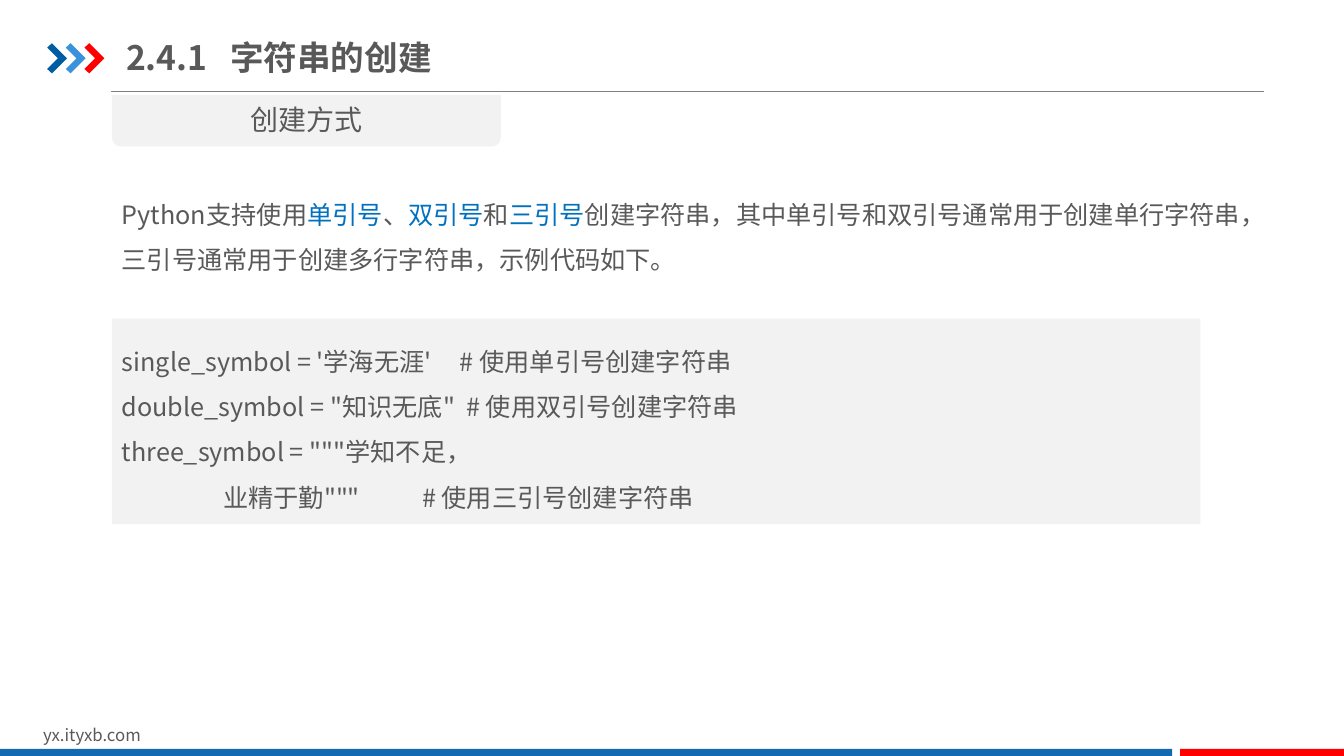
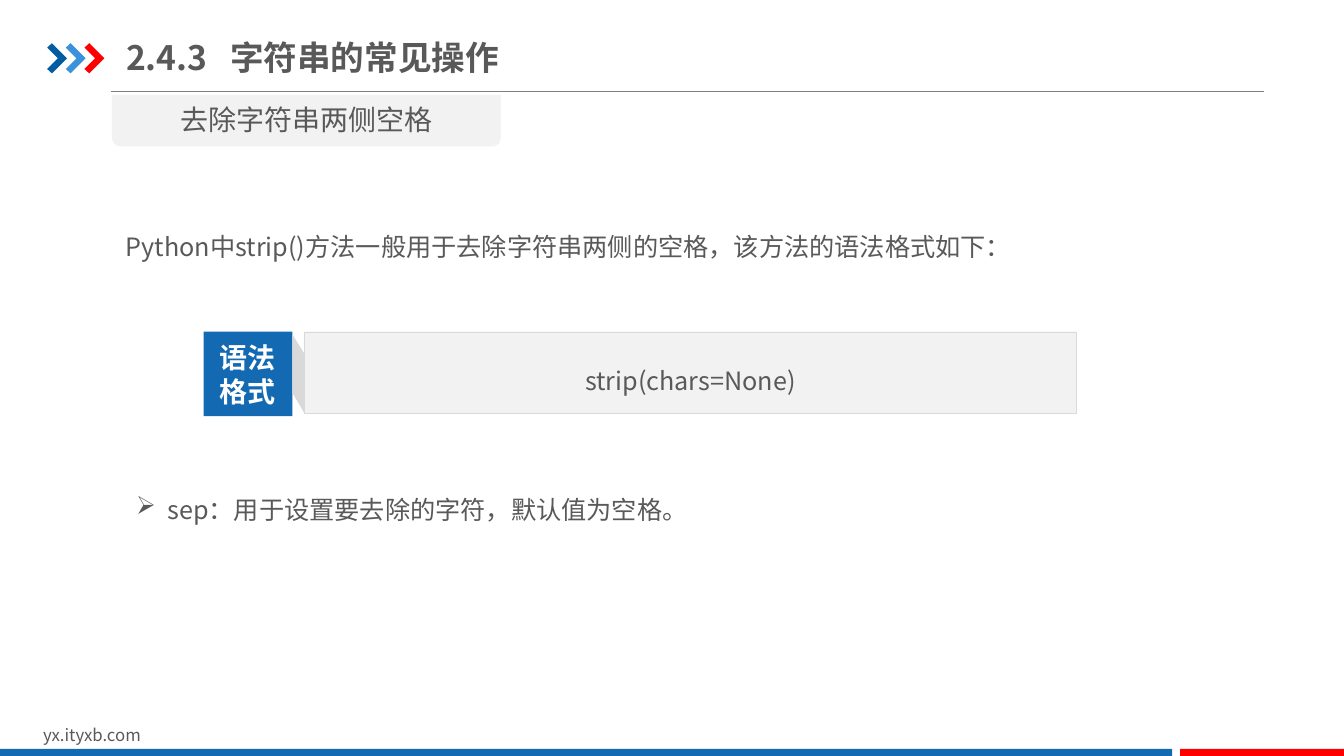
from dataclasses import dataclass

from lxml.etree import SubElement
from pptx import Presentation
from pptx.dml.color import RGBColor
from pptx.enum.shapes import MSO_CONNECTOR as Connector, MSO_SHAPE as Shape
from pptx.enum.text import MSO_ANCHOR as Anchor, PP_ALIGN as Align
from pptx.oxml.ns import qn
from pptx.util import Cm, Pt


@dataclass(frozen=True)
class Theme:
    font: str = "Noto Sans CJK SC"
    text: str = "595959"
    keyword: str = "0070C0"
    white: str = "FFFFFF"
    panel: str = "F2F2F2"
    edge: str = "D9D9D9"
    rule: str = "808080"
    blue: str = "1369B2"
    red: str = "FF0000"
    chevrons: tuple = ("005DA2", "3992DB", "FF0000")
    title_size: int = 24
    label_size: int = 20
    body_size: int = 18
    footer_size: int = 12


THEME = Theme()

# Content
FOOTER = "yx.ityxb.com"
CREATION = {
    "number": "2.4.1",
    "title": "字符串的创建",
    "topic": "创建方式",
    # Runs marked True are keywords
    "intro": [
        ("Python支持使用", False), ("单引号", True), ("、", False),
        ("双引号", True), ("和", False), ("三引号", True),
        ("创建字符串，其中单引号和双引号通常用于创建单行字符串，"
         "三引号通常用于创建多行字符串，示例代码如下。", False),
    ],
    "code": [
        "single_symbol = '学海无涯'     # 使用单引号创建字符串",
        'double_symbol = "知识无底"  # 使用双引号创建字符串',
        'three_symbol = """学知不足，',
        '                  业精于勤"""           # 使用三引号创建字符串',
    ],
}
STRIPPING = {
    "number": "2.4.3",
    "title": "字符串的常见操作",
    "topic": "去除字符串两侧空格",
    "intro": [("Python中strip()方法一般用于去除字符串两侧的空格，"
               "该方法的语法格式如下：", False)],
    "badge": ["语法", "格式"],
    "syntax": ["strip(chars=None)"],
    "parameter": ["sep：用于设置要去除的字符，默认值为空格。"],
}

# Paragraph formats
BODY = {"alignment": Align.JUSTIFY, "line_spacing": 1.5}
CODE = {"alignment": Align.LEFT, "line_spacing": 1.5}
SYNTAX = {"alignment": Align.CENTER, "line_spacing": 1.5}
CENTERED = {"alignment": Align.CENTER}

# Outlines in cm
CHEVRON = [(0, 0.11), (0.12, 0), (0.5, 0.38), (0.12, 0.76), (0, 0.65), (0.27, 0.38)]
FOLD = [(0.3, 0.48), (0.3, 1.98), (0, 1.47), (0, 0)]


def rgb(color):
    return RGBColor.from_string(color)


def box_cm(*lengths):
    return [Cm(length) for length in lengths]


def paint(shape, fill, line=None):
    shape.shadow.inherit = False
    shape.fill.solid()
    shape.fill.fore_color.rgb = rgb(fill)
    if line:
        shape.line.color.rgb = rgb(line)
        shape.line.width = Pt(0.25)
    else:
        shape.line.fill.background()
    return shape


def add_panel(slide, box, fill, line=None, kind=Shape.RECTANGLE):
    return paint(slide.shapes.add_shape(kind, *box_cm(*box)), fill, line)


def add_outline(slide, left, top, points, fill):
    corners = [(Cm(left + x), Cm(top + y)) for x, y in points]
    builder = slide.shapes.build_freeform(*corners[0], scale=1.0)
    builder.add_line_segments(corners[1:], close=True)
    return paint(builder.convert_to_shape(), fill)


def add_run(paragraph, text, size, color=THEME.text, bold=False):
    run = paragraph.add_run()
    run.text = text
    run.font.color.rgb = rgb(color)
    for name, value in {"name": THEME.font, "size": Pt(size), "bold": bold}.items():
        setattr(run.font, name, value)
    SubElement(run.font._element, qn("a:ea"), typeface=THEME.font)


def write(shape, lines, size, layout, anchor=Anchor.TOP, **look):
    """Each line is a string or a list of (text, is_keyword) runs."""
    frame = shape.text_frame
    frame.word_wrap = True
    frame.vertical_anchor = anchor
    for index, line in enumerate(lines):
        paragraph = frame.add_paragraph() if index else frame.paragraphs[0]
        for name, value in layout.items():
            setattr(paragraph, name, value)
        if isinstance(line, str):
            add_run(paragraph, line, size, **look)
        else:
            for text, is_keyword in line:
                add_run(paragraph, text, size, THEME.keyword if is_keyword else THEME.text)
    return frame


def add_text(slide, box, lines, size, layout, **look):
    return write(slide.shapes.add_textbox(*box_cm(*box)), lines, size, layout, **look)


# Shared parts
def add_frame(slide, content):
    rule = slide.shapes.add_connector(Connector.STRAIGHT, *box_cm(2.79, 2.31, 31.85, 2.31))
    rule.line.color.rgb = rgb(THEME.rule)
    rule.line.width = Pt(0.75)
    SubElement(rule._element.spPr, qn("a:effectLst"))

    for index, color in enumerate(THEME.chevrons):
        add_outline(slide, 1.19 + 0.47 * index, 1.09, CHEVRON, color)

    add_text(slide, (0.84, 18.14, 8.08, 0.76), [FOOTER], THEME.footer_size, {})
    for left, width, color in ((0, 29.54, THEME.blue), (29.74, 4.13, THEME.red)):
        add_panel(slide, (left, 18.87, width, 0.2), color)

    # Section number and title, parted by a tab stop
    heading = slide.shapes.add_textbox(*box_cm(3.18, 0.74, 13.56, 1.4))
    frame = heading.text_frame
    for name, value in {"margin_left": 0, "margin_right": 0,
                        "margin_top": Cm(0.18), "margin_bottom": Cm(0.18)}.items():
        setattr(frame, name, value)
    stops = SubElement(frame.paragraphs[0]._p.get_or_add_pPr(), qn("a:tabLst"))
    SubElement(stops, qn("a:tab"), pos=str(Cm(2.62)), algn="l")
    write(heading, [f"{content['number']}\t{content['title']}"], THEME.title_size, {},
          anchor=Anchor.MIDDLE, bold=True)

    # Topic label
    flap = add_panel(slide, (2.82, 2.39, 9.8, 1.3), THEME.panel,
                     kind=Shape.ROUND_2_SAME_RECTANGLE)
    flap.rotation = 180
    add_text(slide, (2.82, 2.46, 9.8, 1.12), [content["topic"]], THEME.label_size, CENTERED)


def build_creation(slide, content):
    add_text(slide, (2.82, 4.52, 28.68, 2.57), [content["intro"]], THEME.body_size, BODY)
    listing = add_panel(slide, (2.82, 8.03, 27.43, 5.18), THEME.panel)
    write(listing, content["code"], THEME.body_size, CODE, anchor=Anchor.MIDDLE)


def build_stripping(slide, content):
    add_text(slide, (2.92, 5.33, 28.35, 1.4), [content["intro"]], THEME.body_size, BODY)

    # Syntax banner
    syntax = add_panel(slide, (7.67, 8.36, 19.46, 2.06), THEME.panel, THEME.edge)
    write(syntax, content["syntax"], THEME.body_size, SYNTAX, anchor=Anchor.MIDDLE)
    badge = add_panel(slide, (5.13, 8.36, 2.24, 2.13), THEME.blue)
    write(badge, content["badge"], THEME.label_size, CENTERED, anchor=Anchor.MIDDLE,
          color=THEME.white, bold=True)
    add_outline(slide, 7.37, 8.43, FOLD, THEME.edge)

    # Parameter bullet
    parameter = slide.shapes.add_textbox(*box_cm(3.18, 11.94, 23.52, 1.4))
    properties = parameter.text_frame.paragraphs[0]._p.get_or_add_pPr()
    properties.set("marL", str(Cm(0.79)))
    properties.set("indent", str(-Cm(0.79)))
    SubElement(properties, qn("a:buChar"), char="➢")
    write(parameter, content["parameter"], THEME.body_size, BODY)


def main():
    deck = Presentation()
    deck.slide_width, deck.slide_height = Cm(33.87), Cm(19.05)
    for content, build in ((CREATION, build_creation), (STRIPPING, build_stripping)):
        slide = deck.slides.add_slide(deck.slide_layouts[6])
        add_frame(slide, content)
        build(slide, content)
    deck.save("out.pptx")


if __name__ == "__main__":
    main()
